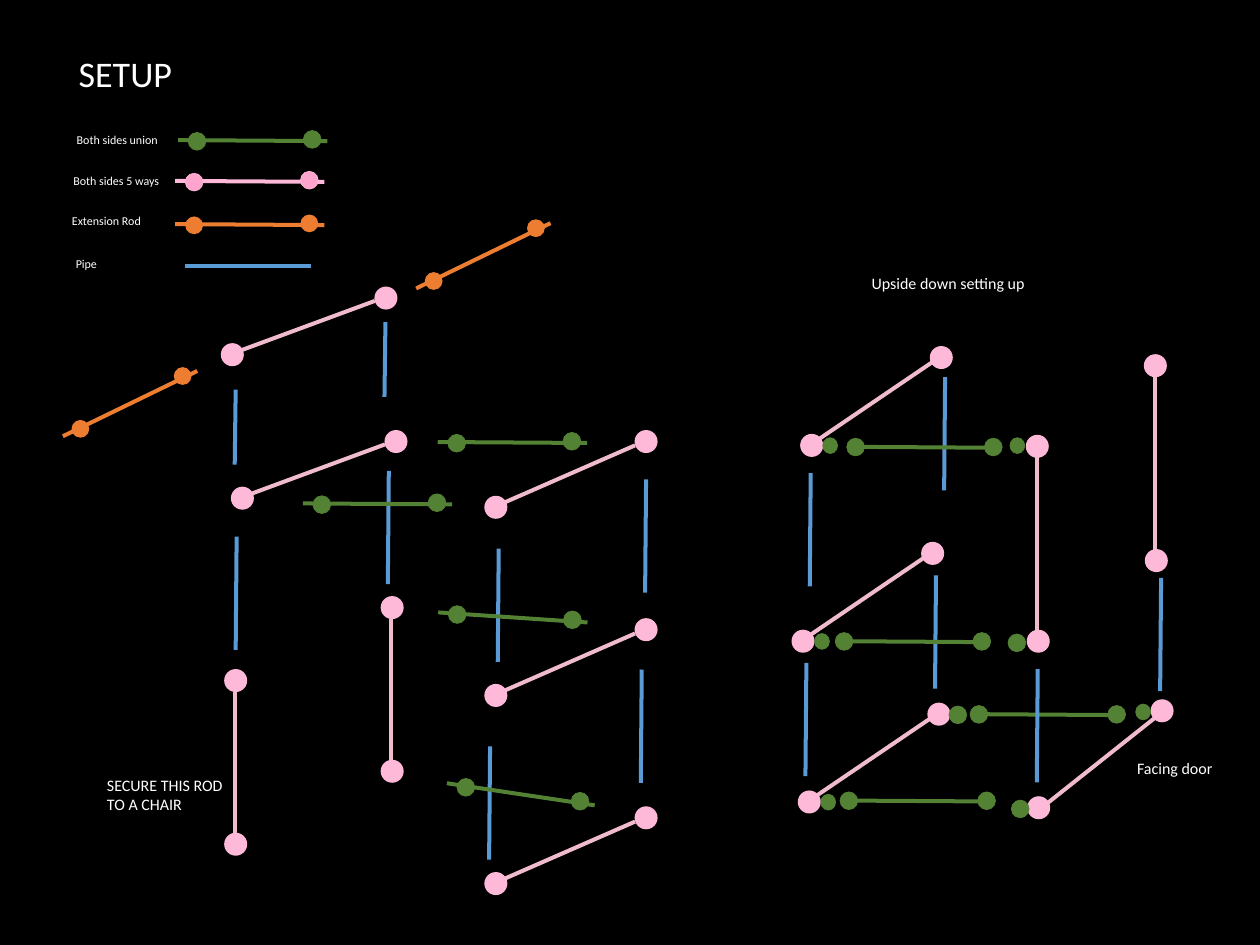
from lxml.etree import SubElement
from pptx import Presentation
from pptx.dml.color import RGBColor
from pptx.enum.shapes import MSO_CONNECTOR, MSO_SHAPE
from pptx.enum.text import MSO_AUTO_SIZE
from pptx.oxml.ns import qn
from pptx.util import Inches, Pt

BLACK, WHITE, GREEN, BLUE = "000000", "FFFFFF", "548235", "5B9BD5"
ORANGE, PINK, ROD_PINK, KEY_PINK = "ED7D31", "FEB8D8", "F0BBCD", "FEA4CD"

# rod colour, joint fill, joint outline, joint diameter
STYLES = {
    "union": (GREEN, GREEN, GREEN, 0.37),
    "five_way": (ROD_PINK, PINK, None, 0.48),
    "five_way_key": (PINK, KEY_PINK, PINK, 0.37),
    "extension": (ORANGE, ORANGE, None, 0.37),
    "pipe": (BLUE, None, None, 0),
}

# rod span, then joint corners, all measured from the rod's start
FORMS = {
    "level": ((3.11, 0.02), [(0.21, -0.16), (2.61, -0.2)]),
    "sloping": ((3.11, 0.21), [(0.21, -0.14), (2.61, -0.03)]),
    "steep": ((3.08, 0.46), [(0.21, -0.1), (2.59, 0.19)]),
    "beam": ((3.11, 0.02), [(-0.05, -0.18), (2.82, -0.18)]),
    "arm": ((2.8, -1.36), [(0.18, -0.34), (2.31, -1.44)]),
    "rear": ((2.79, -1.03), [(-0.42, -0.15), (2.78, -1.33)]),
    "front": ((2.72, -1.19), [(-0.42, -0.14), (2.71, -1.51)]),
    "leg": ((0, 2.97), [(-0.22, -0.48), (-0.22, 2.93)]),
    "side": ((2.46, -1.67), [(-0.39, -0.11), (2.31, -1.94)]),
    "door": ((2.33, -1.85), [(-0.34, -0.21), (2.23, -2.23)]),
    "post": ((0, 4.2), [(-0.24, -0.01), (-0.22, 4.05)]),
    "long": ((-0.02, 2.36), []),
    "short": ((-0.02, 1.56), []),
    "flat": ((2.62, 0), []),
}

RODS = [
    ("five_way", "front", [(10.51, 10.47), (10.51, 14.39), (10.51, 18.31)]),
    ("pipe", "long", [(4.93, 11.18), (8.1, 9.81), (10.39, 11.43), (13.46, 9.99),
                      (10.21, 15.55), (13.37, 13.95)]),
    ("pipe", "short", [(4.91, 8.12), (8.03, 6.71)]),
    ("five_way", "rear", [(5.02, 7.3), (5.23, 10.29)]),
    ("union", "level", [(6.31, 10.49), (9.12, 9.21), (3.71, 2.92)]),
    ("union", "sloping", [(9.13, 12.76)]),
    ("union", "steep", [(9.31, 16.32)]),
    ("five_way", "leg", [(4.89, 14.42), (8.15, 12.9)]),
    ("five_way_key", "level", [(3.65, 3.77)]),
    ("extension", "level", [(3.65, 4.67)]),
    ("extension", "arm", [(1.31, 9.09), (8.67, 6.01)]),
    ("pipe", "flat", [(3.86, 5.54)]),
    ("pipe", "long", [(19.5, 11.99), (16.8, 13.81), (19.69, 7.86), (16.89, 9.86)]),
    ("five_way", "side", [(17.01, 16.58), (16.88, 13.23), (17.06, 9.15)]),
    ("union", "beam", [(17.55, 16.68), (20.26, 14.88), (17.45, 13.36), (17.69, 9.31)]),
    ("five_way", "door", [(21.74, 16.8)]),
    ("pipe", "long", [(24.19, 12.04), (21.62, 13.94)]),
    ("five_way", "post", [(21.61, 9.07), (24.07, 7.39)]),
]

SMALL_UNIONS = [(17.1, 16.55), (16.97, 13.2), (17.14, 9.12), (23.66, 14.67), (21.04, 9.12)]
LARGE_UNIONS = [(19.77, 14.71), (21.07, 16.67), (21, 13.21)]

LABELS = [
    (["SETUP"], 54, (1.54, 1.02, 2.17, 1.01)),
    (["Both sides union"], 18, (1.5, 2.71, 1.91, 0.4)),
    (["Both sides 5 ways"], 18, (1.43, 3.57, 2.01, 0.4)),
    (["Extension Rod"], 18, (1.4, 4.41, 1.65, 0.4)),
    (["Pipe"], 18, (1.48, 5.29, 0.65, 0.4)),
    (["SECURE THIS ROD", "TO A CHAIR"], 24, (2.13, 16.1, 2.71, 0.91)),
    (["Facing door"], 24, (23.59, 15.76, 1.79, 0.5)),
    (["Upside down setting up"], 24, (18.06, 5.64, 3.43, 0.5)),
]


def paint(target, colour):
    target.solid()
    target.fore_color.rgb = RGBColor.from_string(colour)


def add_rod(shapes, start, span, colour):
    x, y = start
    rod = shapes.add_connector(MSO_CONNECTOR.STRAIGHT, Inches(x), Inches(y),
                               Inches(x + span[0]), Inches(y + span[1]))
    paint(rod.line.fill, colour)
    rod.line.width = Pt(6)
    SubElement(rod._element.spPr, qn("a:effectLst"))


def add_joint(shapes, left, top, width, height, fill, outline):
    joint = shapes.add_shape(MSO_SHAPE.OVAL, *map(Inches, (left, top, width, height)))
    joint.shadow.inherit = False
    paint(joint.fill, fill)
    if outline:
        paint(joint.line.fill, outline)
        joint.line.width = Pt(1)
    else:
        joint.line.fill.background()


def add_assembly(shapes, style, form, start):
    colour, fill, outline, size = STYLES[style]
    span, corners = FORMS[form]
    parts = shapes.add_group_shape().shapes if corners else shapes
    add_rod(parts, start, span, colour)
    for dx, dy in corners:
        add_joint(parts, start[0] + dx, start[1] + dy, size, size, fill, outline)


def add_label(shapes, lines, size, box):
    frame = shapes.add_textbox(*map(Inches, box)).text_frame
    frame.word_wrap = False
    frame.auto_size = MSO_AUTO_SIZE.SHAPE_TO_FIT_TEXT
    frame.text = "\n".join(lines)
    for paragraph in frame.paragraphs:
        paragraph.font.name = "Calibri"
        paragraph.font.size = Pt(size)
        paint(paragraph.font.fill, WHITE)


def main():
    deck = Presentation()
    deck.slide_width, deck.slide_height = Inches(26.25), Inches(19.69)
    slide = deck.slides.add_slide(deck.slide_layouts[6])
    paint(slide.background.fill, BLACK)
    for style, form, starts in RODS:
        for start in starts:
            add_assembly(slide.shapes, style, form, start)
    for corners, width, height in ((SMALL_UNIONS, 0.31, 0.33), (LARGE_UNIONS, 0.37, 0.37)):
        for left, top in corners:
            add_joint(slide.shapes, left, top, width, height, GREEN, GREEN)
    for lines, size, box in LABELS:
        add_label(slide.shapes, lines, size, box)
    deck.save("out.pptx")


if __name__ == "__main__":
    main()
